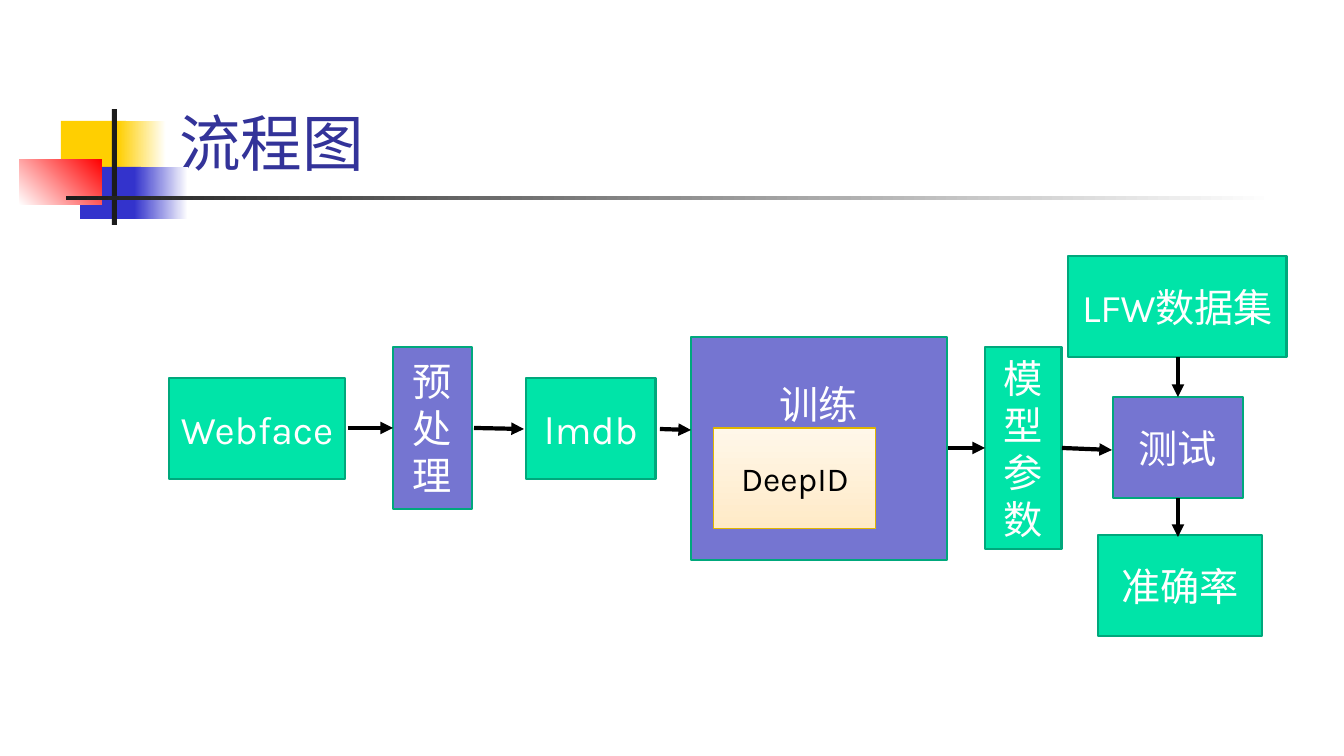
from pptx import Presentation
from pptx.dml.color import RGBColor
from pptx.enum.shapes import MSO_CONNECTOR, MSO_SHAPE
from pptx.enum.text import MSO_ANCHOR, MSO_AUTO_SIZE, PP_ALIGN
from pptx.oxml.ns import qn
from pptx.util import Pt
from lxml.etree import SubElement

PX = 914400 / 100.8  # EMU per pixel

THEME = {
    "font": "Karla",
    "title": "333399", "title_size": 44,
    "light": "FFFFFF", "dark": "000000",
    "data": "00E4A8", "step": "7575D1", "edge": "00A87C", "size": 28,
    "model": ("FFEAC7", "FFF7E9"), "model_edge": "E1B600", "model_size": 24,
    "yellow": "FFCF01", "blue": "3333CC", "red": "FF0000", "ink": "1C1C1C",
}

# Content: boxes are (text, kind, left, top, width, height)
TITLE = "流程图"
TITLE_BOX = (169, 23, 1145, 161)
BOXES = [
    ("Webface", "data", 169, 378, 176, 101),
    ("预处理", "step", 393, 347, 79, 162),
    ("lmdb", "data", 526, 378, 130, 101),
    ("训练", "step", 691, 337, 256, 223),
    ("DeepID", "model", 714, 428, 162, 101),
    ("模型参数", "data", 985, 347, 77, 202),
    ("LFW数据集", "data", 1068, 256, 219, 101),
    ("测试", "step", 1113, 397, 130, 101),
    ("准确率", "data", 1098, 535, 164, 101),
]
TOP_TEXT = {"训练": 43}  # text held at this distance below the box top

# Arrows: from x, y to x, y
ARROWS = [
    (348, 428, 393, 428), (474, 428, 524, 429), (660, 429, 691, 430),
    (948, 448, 985, 448), (1062, 448, 1112, 450),
    (1178, 357, 1178, 397), (1178, 498, 1178, 537),
]

# Title ornament: place, colours (two make a gradient), gradient angle
ORNAMENT = [
    ((61, 121, 65, 52), ("yellow",), 0),
    ((118, 121, 48, 52), ("yellow", "light"), 0),
    ((80, 167, 61, 52), ("blue",), 0),
    ((134, 167, 54, 52), ("blue", "light"), 0),
    ((19, 159, 83, 46), ("light", "red"), 45),
    ((112, 109, 5, 116), ("ink",), 0),
    ((66, 196, 1209, 4), ("ink", "light"), 0),
]


def emu(*lengths):
    return [round(n * PX) for n in lengths]


def rgb(value):
    return RGBColor.from_string(value)


def paint(fill, colors, angle=0):
    if len(colors) == 1:
        fill.solid()
        fill.fore_color.rgb = rgb(colors[0])
        return
    fill.gradient()
    fill.gradient_angle = angle
    for stop, color, position in zip(fill.gradient_stops, colors, (0, 1)):
        stop.color.rgb = rgb(color)
        stop.position = position


def add_rect(place, colors, angle=0):
    sp = slide.shapes.add_shape(MSO_SHAPE.RECTANGLE, *emu(*place))
    sp.shadow.inherit = False
    paint(sp.fill, colors, angle)
    sp.line.fill.background()
    return sp


def write(tf, text, size, color, align):
    tf.text = text
    tf.word_wrap = True
    p = tf.paragraphs[0]
    p.alignment = align
    font = p.runs[0].font
    font.name, font.size = THEME["font"], Pt(size)
    font.color.rgb = rgb(color)


def add_box(text, kind, *place):
    model = kind == "model"
    colors = THEME["model"] if model else (THEME[kind],)
    sp = add_rect(place, colors, 90)
    sp.line.color.rgb = rgb(THEME["model_edge" if model else "edge"])
    sp.line.width = Pt(0.75 if model else 2)
    tf = sp.text_frame
    write(tf, text, THEME["model_size" if model else "size"],
          THEME["dark" if model else "light"], PP_ALIGN.CENTER)
    tf.vertical_anchor = MSO_ANCHOR.MIDDLE
    if text in TOP_TEXT:
        tf.vertical_anchor = MSO_ANCHOR.TOP
        tf.margin_top = emu(TOP_TEXT[text])[0]


def add_arrow(*ends):
    line = slide.shapes.add_connector(MSO_CONNECTOR.STRAIGHT, *emu(*ends))
    line.line.color.rgb = rgb(THEME["dark"])
    line.line.width = Pt(3)
    SubElement(line.line._get_or_add_ln(), qn("a:tailEnd"), type="triangle")
    SubElement(line._element.spPr, qn("a:effectLst"))


prs = Presentation()
prs.slide_width, prs.slide_height = emu(1344, 756)
slide = prs.slides.add_slide(prs.slide_layouts[5])

# Ornament
for place, names, angle in ORNAMENT:
    add_rect(place, [THEME[name] for name in names], angle)

# Title
title = slide.shapes.title
title.left, title.top, title.width, title.height = emu(*TITLE_BOX)
write(title.text_frame, TITLE, THEME["title_size"], THEME["title"], PP_ALIGN.LEFT)
title.text_frame.vertical_anchor = MSO_ANCHOR.BOTTOM
title.text_frame.auto_size = MSO_AUTO_SIZE.NONE

# Flow chart
for box in BOXES:
    add_box(*box)
for arrow in ARROWS:
    add_arrow(*arrow)

prs.save("out.pptx")
